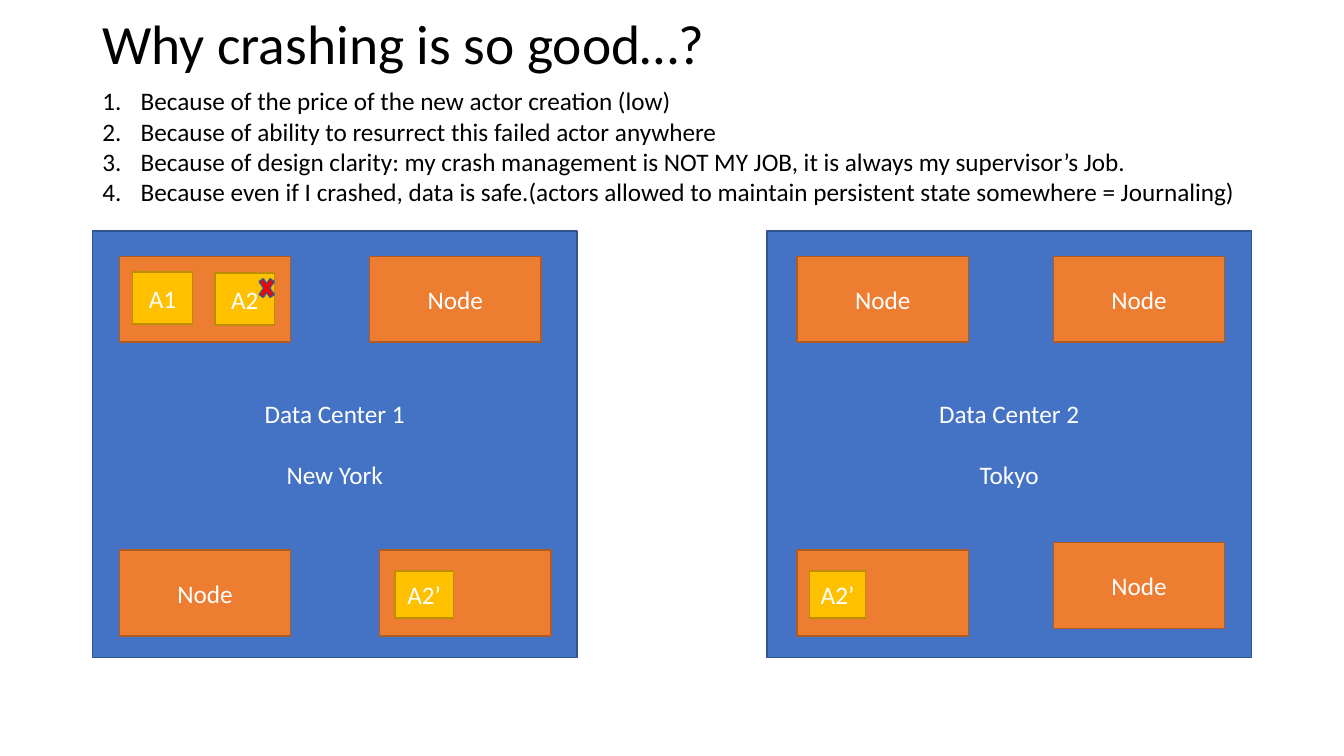
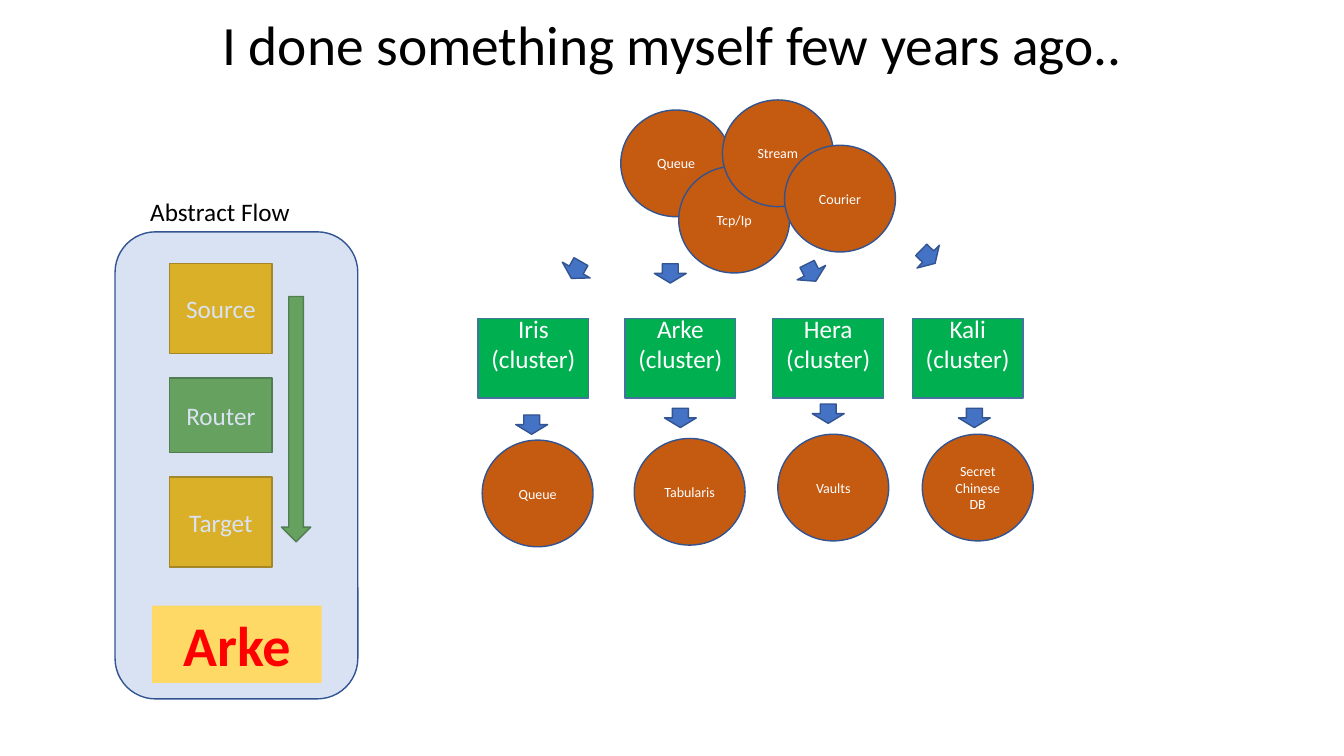
"""Build two slides on actor crashes and cluster routing."""
from dataclasses import dataclass

import pptx
import pptx.util
import pptx.dml.color
import pptx.enum.shapes
import pptx.enum.text
import pptx.oxml.ns
from lxml import etree
from pptx.presentation import Presentation
from pptx.shapes.autoshape import Shape
from pptx.slide import Slide

FORM = pptx.enum.shapes.MSO_SHAPE
ALIGN = pptx.enum.text.PP_ALIGN
ANCHOR = pptx.enum.text.MSO_ANCHOR
FONT = "Calibri"
WIDE, HIGH = 13.33, 7.5
COLS, ROWS = 160, 90
HUES = {
    "blue": "4472C4", "navy": "325491", "orange": "ED7D31", "rust": "AF5C24",
    "gold": "FFC000", "ochre": "BD8E00", "green": "70AD47", "moss": "538035",
    "sand": "FFD966", "red": "FF0000", "lime": "00B050", "steel": "43739E",
    "brown": "C55A11", "white": "FFFFFF", "black": "000000",
}


@dataclass(frozen=True)
class Style:
    """Look shared by shapes of one kind."""
    form: FORM
    fill: str
    edge: str = ""
    size: float = 18
    ink: str = "white"
    bold: bool = False
    alpha: int = 100
    gap: float = 0
    lift: float = 0


@dataclass(frozen=True)
class Box:
    """Place on the grid, in columns and rows, with its text."""
    col: float
    row: float
    wide: float
    high: float
    text: str = ""
    turn: float = 0


CENTER = Style(FORM.RECTANGLE, "blue", "navy", gap=22)
NODE = Style(FORM.RECTANGLE, "orange", "rust")
ACTOR = Style(FORM.RECTANGLE, "gold", "ochre")
CROSS = Style(FORM.MATH_MULTIPLY, "red", "navy")
ROUTER = Style(FORM.RECTANGLE, "green", "moss")
FLOW = Style(FORM.DOWN_ARROW, "green", "moss")
PANEL = Style(FORM.ROUNDED_RECTANGLE, "blue", "navy", alpha=20)
BADGE = Style(FORM.RECTANGLE, "sand", size=40, ink="red", bold=True)
CLUSTER = Style(FORM.RECTANGLE, "lime", "steel", lift=0.3)
STORE = Style(FORM.OVAL, "brown", "navy", size=10)
ARROW = Style(FORM.DOWN_ARROW, "blue", "navy")


def hue(name: str) -> pptx.dml.color.RGBColor:
    """Return a named colour."""
    return pptx.dml.color.RGBColor.from_string(HUES[name])


def place(box: Box) -> tuple[int, int, int, int]:
    """Turn grid cells into left, top, width and height."""
    col, row = WIDE / COLS, HIGH / ROWS
    sides = box.col * col, box.row * row, box.wide * col, box.high * row
    return tuple(pptx.util.Inches(side) for side in sides)


def ink(shape: Shape, size: float, color: str, align: ALIGN, bold: bool = False) -> None:
    """Format all text of a shape."""
    for para in shape.text_frame.paragraphs:
        para.alignment = align
        for run in para.runs:
            run.font.name = FONT
            run.font.size = pptx.util.Pt(size)
            run.font.bold = bold
            run.font.color.rgb = hue(color)


def draw(slide: Slide, style: Style, *boxes: Box) -> None:
    """Draw boxes in one style."""
    for box in boxes:
        shape = slide.shapes.add_shape(style.form, *place(box))
        shape.shadow.inherit = False
        shape.rotation = box.turn
        shape.fill.solid()
        shape.fill.fore_color.rgb = hue(style.fill)
        if style.alpha < 100:
            tint = shape._element.spPr.find(".//" + pptx.oxml.ns.qn("a:srgbClr"))
            etree.SubElement(tint, pptx.oxml.ns.qn("a:alpha"), val=str(style.alpha * 1000))
        if style.edge:
            shape.line.color.rgb = hue(style.edge)
            shape.line.width = pptx.util.Pt(1)
        else:
            shape.line.fill.background()
        if box.text:
            frame = shape.text_frame
            frame.text = box.text
            frame.vertical_anchor = ANCHOR.MIDDLE
            if style.lift:
                frame.margin_top = 0
                frame.margin_bottom = pptx.util.Inches(style.lift)
            for para in frame.paragraphs[1:]:
                para.space_before = pptx.util.Pt(style.gap)
            ink(shape, style.size, style.ink, ALIGN.CENTER, style.bold)


def write(slide: Slide, box: Box, size: float = 18) -> Shape:
    """Add a plain left-aligned text box."""
    shape = slide.shapes.add_textbox(*place(box))
    shape.text_frame.word_wrap = True
    shape.text_frame.text = box.text
    ink(shape, size, "black", ALIGN.LEFT)
    return shape


def title(slide: Slide, box: Box) -> None:
    """Add a slide title."""
    frame = write(slide, box, 39.6).text_frame
    frame.vertical_anchor = ANCHOR.MIDDLE
    frame.paragraphs[0].line_spacing = 0.9


def count(shape: Shape) -> None:
    """Number the paragraphs of a shape."""
    dent = pptx.util.Inches(0.38)
    for para in shape.text_frame.paragraphs:
        props = para._p.get_or_add_pPr()
        props.set("marL", str(dent))
        props.set("indent", str(-dent))
        etree.SubElement(props, pptx.oxml.ns.qn("a:buFont"), typeface="+mj-lt")
        etree.SubElement(props, pptx.oxml.ns.qn("a:buAutoNum"), type="arabicPeriod")


def crash(slide: Slide) -> None:
    """Show why crashing is good."""
    title(slide, Box(11, 1.4, 138, 8.2, "Why crashing is so good…?"))
    sites = (11, "Data Center 1\nNew York"), (91.3, "Data Center 2\nTokyo")
    draw(slide, CENTER, *(Box(col, 27.5, 57.7, 50.8, text) for col, text in sites))
    nodes = (
        (14.2, 30.5, ""), (44, 30.5, "Node"), (14.2, 65.5, "Node"), (45.2, 65.5, ""),
        (94.9, 30.5, "Node"), (125.4, 30.5, "Node"), (94.9, 65.5, ""), (125.4, 64.6, "Node"),
    )
    draw(slide, NODE, *(Box(col, row, 20.4, 10.2, text) for col, row, text in nodes))
    draw(
        slide, ACTOR,
        Box(15.8, 32.4, 7.1, 6.2, "A1"), Box(25.6, 32.5, 7.1, 6.2, "A2"),
        Box(47, 68, 7, 5.6, "A2’"), Box(96.4, 68, 6.6, 5.6, "A2’"),
    )
    draw(slide, CROSS, Box(30.5, 32.5, 2.5, 3.6))
    points = (
        "Because of the price of the new actor creation (low)",
        "Because of ability to resurrect this failed actor anywhere",
        "Because of design clarity: my crash management is NOT MY JOB, "
        "it is always my supervisor’s Job.",
        "Because even if I crashed, data is safe.(actors allowed to maintain "
        "persistent state somewhere = Journaling)",
    )
    count(write(slide, Box(11, 9.6, 140.5, 23, "\n".join(points))))


def route(slide: Slide) -> None:
    """Show the abstract flow and its clusters."""
    title(slide, Box(25.3, 2, 130, 7.3, "I done something myself few years ago.."))
    row = 31.4
    steps = (ACTOR, 10.7, "Source"), (ROUTER, 8.9, "Router"), (ACTOR, 10.7, "Target")
    for style, high, text in steps:
        draw(slide, style, Box(20.2, row, 12.2, high, text))
        row += high + 2.9
    draw(slide, FLOW, Box(33.5, 35.3, 3.5, 29.2))
    write(slide, Box(16.7, 22.8, 24.7, 4.8, "Abstract Flow"))
    draw(slide, PANEL, Box(13.7, 27.6, 28.9, 55.6))
    draw(slide, BADGE, Box(18.1, 72.1, 20.2, 9.2, "Arke"))
    names = (56.9, "Iris"), (74.4, "Arke"), (92, "Hera"), (108.6, "Kali")
    draw(slide, CLUSTER, *(Box(col, 37.9, 13.2, 9.5, f"{name}\n(cluster)") for col, name in names))
    stores = (
        (57.4, 52.4, "Queue"), (75.5, 52.2, "Tabularis"), (92.6, 51.7, "Vaults"),
        (109.8, 51.7, "Secret Chinese\nDB"), (73.9, 13.1, "Queue"), (80.8, 19.8, "Tcp/Ip"),
        (86, 11.9, "Stream"), (93.4, 17.3, "Courier"),
    )
    draw(slide, STORE, *(Box(col, row, 13.2, 12.7, text) for col, row, text in stores))
    arrows = (
        (61.4, 49.4, 0), (79.1, 48.6, 0), (96.7, 48.1, 0), (114.1, 48.6, 0),
        (66.7, 31, 29.6), (77.9, 31.4, 0), (94.7, 31.3, 333.1), (108.6, 29.4, 314.3),
    )
    draw(slide, ARROW, *(Box(col, row, 3.8, 2.3, turn=turn) for col, row, turn in arrows))


def main() -> None:
    """Build and save the deck."""
    deck: Presentation = pptx.Presentation()
    deck.slide_width = pptx.util.Inches(WIDE)
    deck.slide_height = pptx.util.Inches(HIGH)
    for build in (crash, route):
        build(deck.slides.add_slide(deck.slide_layouts[6]))
    deck.save("out.pptx")


if __name__ == "__main__":
    main()
